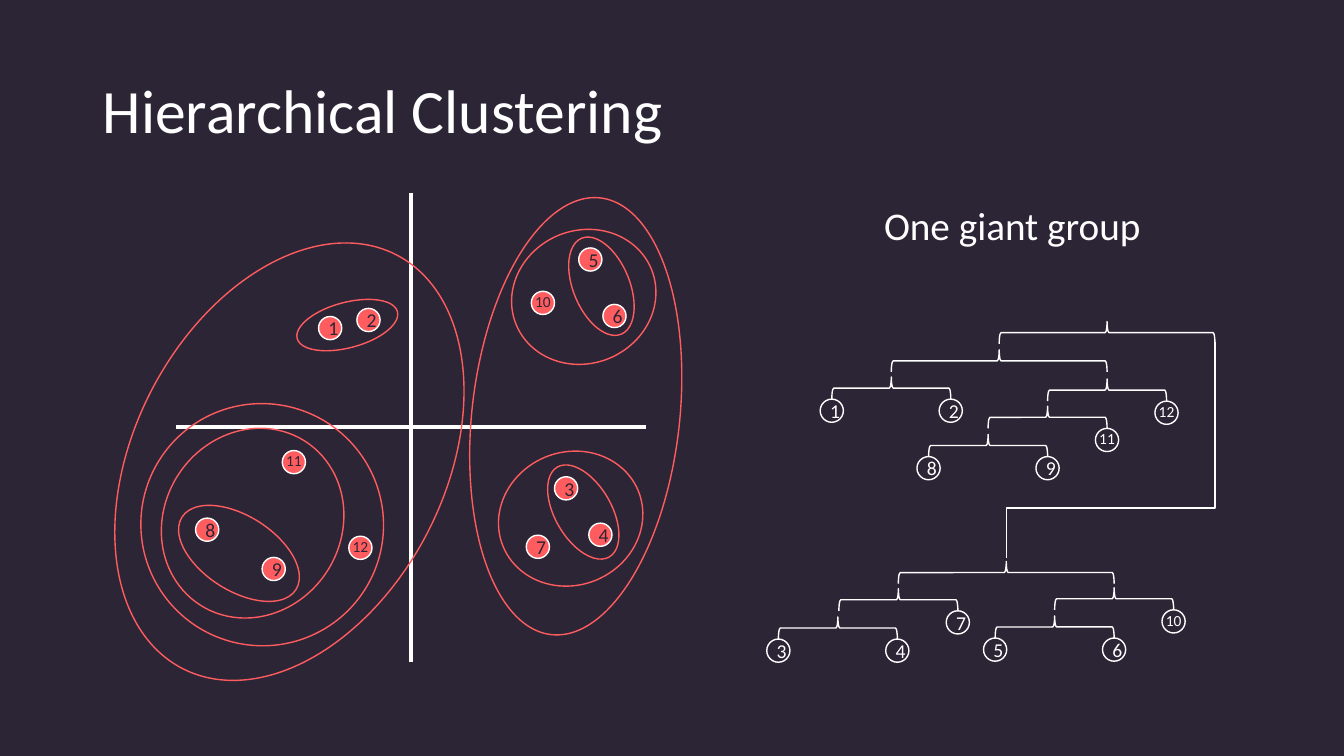
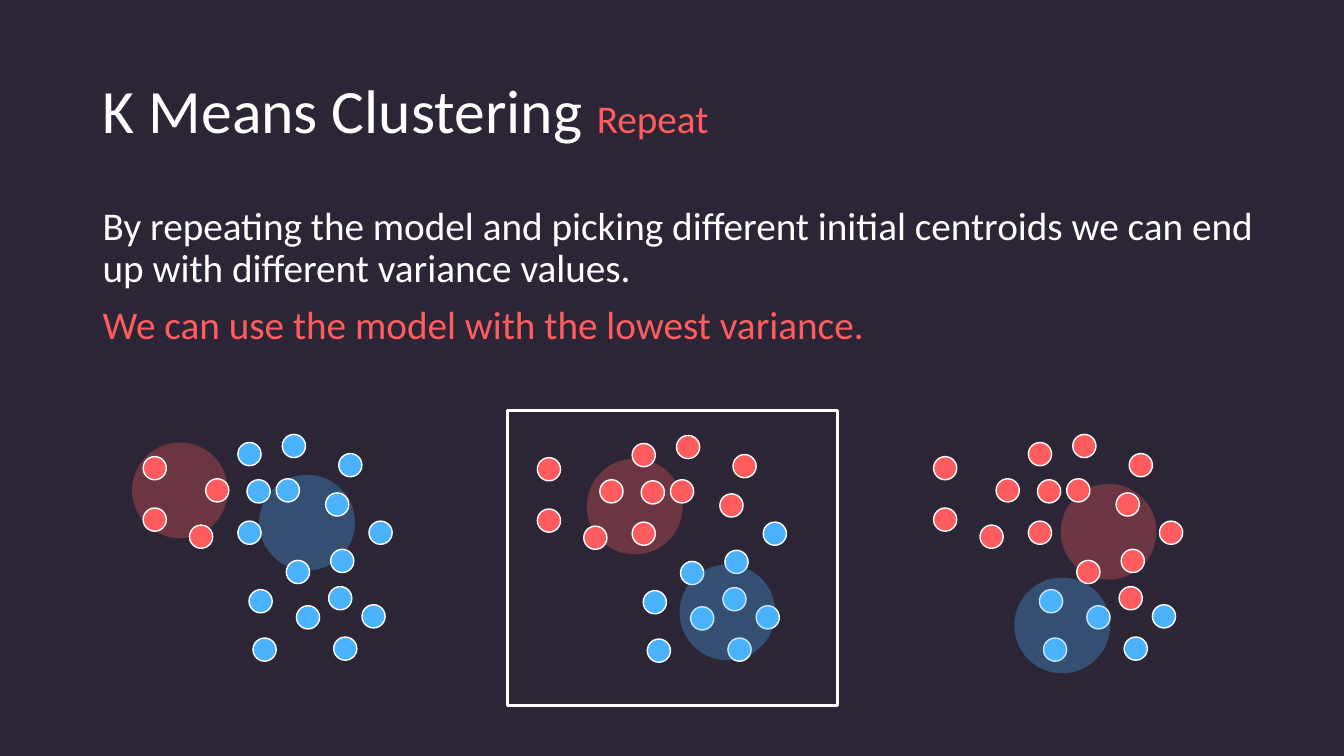
import pptx
import pptx.util
import pptx.dml.color
import pptx.enum.shapes
import pptx.enum.text
import pptx.oxml
import pptx.oxml.ns

Inches, Pt = pptx.util.Inches, pptx.util.Pt
MSO = pptx.enum.shapes.MSO_SHAPE
CONN = pptx.enum.shapes.MSO_CONNECTOR
ALIGN = pptx.enum.text.PP_ALIGN
ANCHOR = pptx.enum.text.MSO_ANCHOR
RGB = pptx.dml.color.RGBColor.from_string
qn = pptx.oxml.ns.qn

C = {"bg": "2C2536", "white": "FFFFFF", "red": "FE5C5E", "blue": "4BB3FD"}
FONT = "Calibri"
DOT = 0.23
HALO = 0.95


def shape(s, kind, x, y, w, h, fill=None, line=None, width=1, rot=0, alpha=None):
    sp = s.shapes.add_shape(kind, Inches(x), Inches(y), Inches(w), Inches(h))
    sp.shadow.inherit = False
    sp.rotation = rot
    if fill:
        sp.fill.solid()
        sp.fill.fore_color.rgb = RGB(C[fill])
    else:
        sp.fill.background()
    if line:
        sp.line.color.rgb = RGB(C[line])
        sp.line.width = Pt(width)
    else:
        sp.line.fill.background()
    if alpha:
        clr = sp._element.spPr.find(qn("a:solidFill")).find(qn("a:srgbClr"))
        clr.append(pptx.oxml.parse_xml(
            f'<a:alpha {pptx.oxml.ns.nsdecls("a")} val="{alpha * 1000}"/>'))
    return sp


def write(tf, paragraphs, align=ALIGN.LEFT, spacing=0.9, before=0):
    """Each paragraph is a list of (text, size, colour) runs."""
    tf.word_wrap = True
    for i, runs in enumerate(paragraphs):
        p = tf.paragraphs[0] if i == 0 else tf.add_paragraph()
        p.alignment, p.line_spacing, p.space_before = align, spacing, Pt(before)
        for text, size, colour in runs:
            r = p.add_run()
            r.text = text
            r.font.size, r.font.name = Pt(size), FONT
            r.font.color.rgb = RGB(C[colour])


prs = pptx.Presentation()
prs.slide_width, prs.slide_height = Inches(13.33), Inches(7.5)
prs.slide_master.background.fill.solid()
prs.slide_master.background.fill.fore_color.rgb = RGB(C["bg"])

# Titles
titles = [
    [("Hierarchical Clustering", 44, "white")],
    [("K Means Clustering ", 44, "white"), ("Repeat", 28, "red")],
]
for runs in titles:
    s = prs.slides.add_slide(prs.slide_layouts[5])
    title = s.shapes.title
    title.left, title.top = Inches(0.92), Inches(0.4)
    title.width, title.height = Inches(11.5), Inches(1.45)
    title.text_frame.vertical_anchor = ANCHOR.MIDDLE
    write(title.text_frame, [runs])
hier, kmeans = prs.slides

# Body texts
bodies = [
    (hier, 7.76, 4.56, 4.76, ALIGN.CENTER, [[("One giant group", 28, "white")]]),
    (kmeans, 0.92, 11.68, 1.72, ALIGN.LEFT, [
        [("By repeating the model and picking different initial centroids "
          "we can end up with different variance values.", 28, "white")],
        [("We can use the model with the lowest variance.", 28, "red")]]),
]
for s, x, w, h, align, paragraphs in bodies:
    tb = s.shapes.add_textbox(Inches(x), Inches(2), Inches(w), Inches(h))
    write(tb.text_frame, paragraphs, align, before=10)

# Hierarchical clustering: axes and the line joining the two trees
AX, AY, REACH = 4.08, 4.24, 2.33
links = [
    (CONN.STRAIGHT, AX - REACH, AY, AX + REACH, AY, 3),
    (CONN.STRAIGHT, AX, AY - REACH, AX, AY + REACH, 3),
    (CONN.ELBOW, 9.94, 3.43, 12.09, 5.5, 1),
]
for kind, x1, y1, x2, y2, width in links:
    cx = hier.shapes.add_connector(kind, Inches(x1), Inches(y1), Inches(x2), Inches(y2))
    cx.line.color.rgb = RGB(C["white"])
    cx.line.width = Pt(width)
    spPr = cx._element.spPr
    spPr.append(pptx.oxml.parse_xml(f'<a:effectLst {pptx.oxml.ns.nsdecls("a")}/>'))
    if kind == CONN.ELBOW:
        spPr.find(qn("a:xfrm")).set("rot", str(90 * 60000))
        geom = spPr.find(qn("a:prstGeom"))
        for av in geom.findall(qn("a:avLst")):
            geom.remove(av)
        geom.append(pptx.oxml.parse_xml(
            f'<a:avLst {pptx.oxml.ns.nsdecls("a")}><a:gd name="adj1" fmla="val 76800"/></a:avLst>'))

# Scatter points: label, left, top
points = [
    ("10", 5.27, 2.89), ("5", 5.74, 2.46), ("6", 5.98, 3.02), ("7", 5.22, 5.31),
    ("2", 3.54, 3.06), ("12", 3.46, 5.32), ("11", 2.8, 4.47), ("1", 3.16, 3.14),
    ("8", 1.94, 5.14), ("9", 2.6, 5.53), ("3", 5.5, 4.73), ("4", 5.84, 5.19),
]
dots = [(label, x, y, "red", "bg") for label, x, y in points]

# Dendrogram braces: centre, span, leaves hanging from the left and right ends
NARROW, WIDE, DEPTH = 1.18, 2.14, 0.22
braces = [
    (8.84, 3.85, NARROW, "1", "2"), (8.31, 6.23, NARROW, "3", "4"),
    (10.46, 6.22, NARROW, "5", "6"), (9.8, 4.42, NARROW, "8", "9"),
    (8.91, 5.95, NARROW, "", "7"), (11.05, 5.94, NARROW, "", "10"),
    (10.39, 4.14, NARROW, "", "11"), (10.98, 3.87, NARROW, "", "12"),
    (9.98, 5.68, WIDE, "", ""), (9.91, 3.58, WIDE, "", ""),
    (10.98, 3.3, WIDE, "", ""),
]
for x, y, span, *leaves in braces:
    shape(hier, MSO.LEFT_BRACE, x - DEPTH / 2, y - span / 2, DEPTH, span,
          line="white", rot=90)
    for label, side in zip(leaves, (-1, 1)):
        if label:
            dots.append((label, x + side * span / 2 - DOT / 2, y + DEPTH / 2,
                         None, "white"))

# Numbered dots; two-digit numbers sit in a wider box over the dot
for label, x, y, fill, ink in dots:
    sp = shape(hier, MSO.OVAL, x, y, DOT, DOT, fill, "white")
    if len(label) == 1:
        sp.text_frame.vertical_anchor = ANCHOR.MIDDLE
        write(sp.text_frame, [[(label, 14, ink)]], ALIGN.CENTER, 1)
    else:
        tb = hier.shapes.add_textbox(Inches(x - 0.16), Inches(y - 0.02),
                                     Inches(0.55), Inches(0.39))
        write(tb.text_frame, [[(label, 11, ink)]], ALIGN.CENTER, before=10)

# Cluster outlines: left, top, width, height, rotation
outlines = [
    (2.93, 3, 1.03, 0.45, 345), (5.27, 4.8, 1.03, 0.56, 60),
    (5.45, 2.56, 1.03, 0.56, 67.6), (5, 4.42, 1.32, 1.45, 67.6),
    (5.13, 2.22, 1.32, 1.45, 67.6), (2, 4.82, 0.74, 1.34, 122.5),
    (1.54, 4.31, 1.93, 1.76, 122.5), (1.4, 4, 2.4, 2.41, 122.5),
    (0.56, 3.04, 4.62, 3.08, 117.4), (3.53, 3.1, 4.36, 2.06, 96.4),
]
for x, y, w, h, rot in outlines:
    shape(hier, MSO.OVAL, x, y, w, h, line="red", rot=rot)

# K means: the same cloud three times, coloured by the cluster found
cloud = [
    (3.36, 4.5), (2.04, 4.75), (2.36, 4.39), (2.36, 5.17), (2.74, 4.75),
    (1.88, 5.21), (3.28, 5.45), (3.26, 5.82), (3.66, 5.17), (2.51, 6.33),
    (3.23, 4.89), (2.47, 5.85), (2.45, 4.76), (2.8, 4.31), (1.42, 4.53),
    (3.59, 6), (2.84, 5.56), (2.94, 6.01), (3.31, 6.32), (1.42, 5.04),
]
# Shift right and down, cluster of each point, halos behind and in front
trials = [
    (0, 0, "BRBBBRBBBBBBBBRBBBBR",
     [("blue", 2.57, 4.71), ("red", 1.31, 4.39)], []),
    (3.91, 0.01, "RRRRRRBBBBRBRRRBBBBR",
     [("red", 5.82, 4.55)], [("blue", 6.74, 5.6)]),
    (7.84, 0, "RRRRRRRRRBRBRRRBRBBR",
     [("red", 10.52, 4.8)], [("blue", 10.06, 5.73)]),
]
cluster = {"R": "red", "B": "blue"}
for dx, dy, members, behind, front in trials:
    marks = [(c, x, y, HALO, None, 30) for c, x, y in behind]
    marks += [(cluster[m], x + dx, y + dy, DOT, "white", None)
              for m, (x, y) in zip(members, cloud)]
    marks += [(c, x, y, HALO, None, 30) for c, x, y in front]
    for fill, x, y, size, line, alpha in marks:
        shape(kmeans, MSO.OVAL, x, y, size, size, fill, line, alpha=alpha)

# Frame around the trial with the lowest variance
shape(kmeans, MSO.RECTANGLE, 5.03, 4.07, 3.28, 2.93, line="white", width=2.25)

prs.save("out.pptx")
